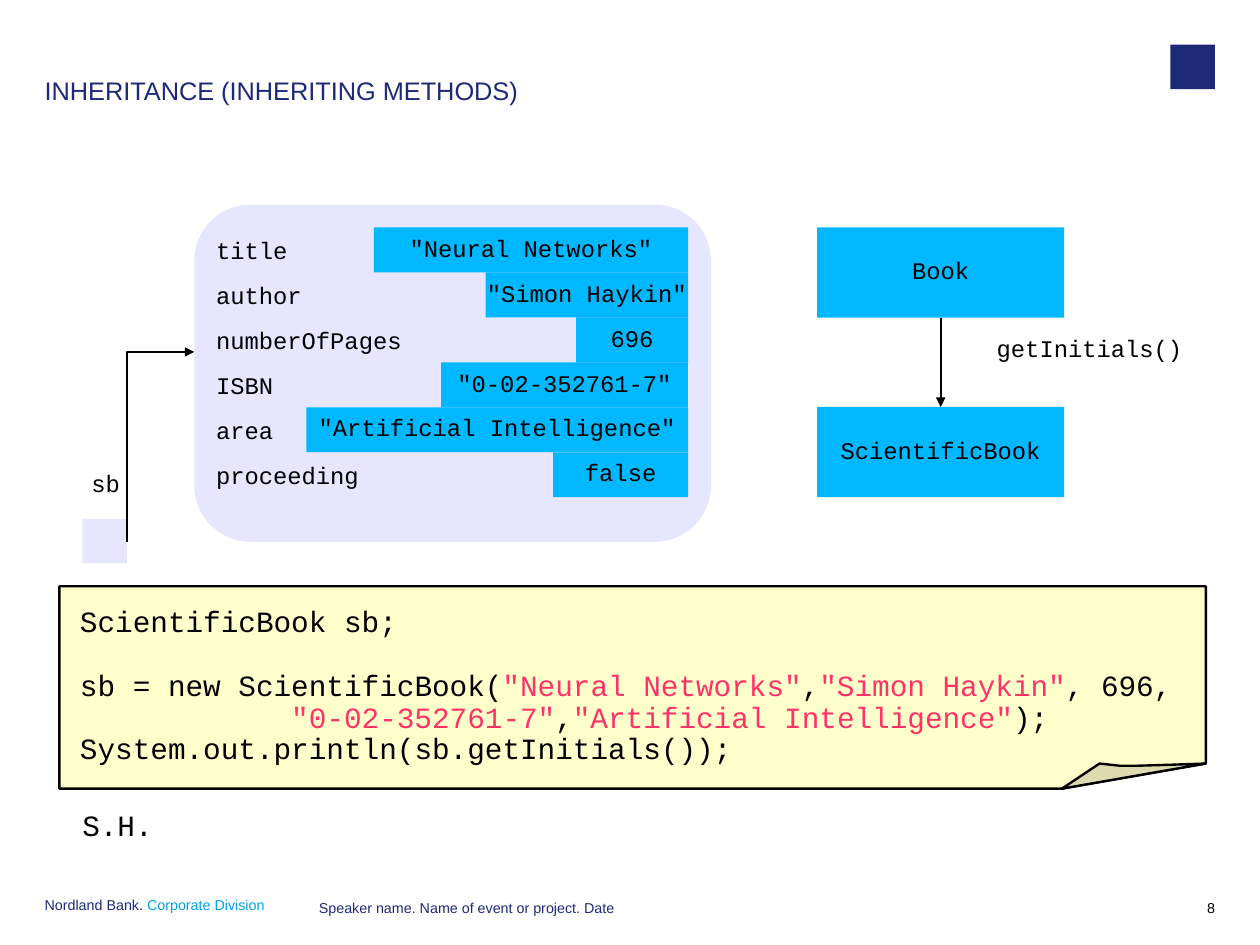
from dataclasses import dataclass

from lxml.etree import SubElement
from pptx import Presentation
from pptx.dml.color import RGBColor
from pptx.enum.shapes import MSO_CONNECTOR, MSO_SHAPE
from pptx.enum.text import MSO_ANCHOR, PP_ALIGN
from pptx.oxml.ns import qn
from pptx.util import Inches, Pt


@dataclass(frozen=True)
class Theme:
    navy: RGBColor = RGBColor.from_string("1E2A78")
    cyan: RGBColor = RGBColor.from_string("00A3E0")
    blue: RGBColor = RGBColor.from_string("00B8FF")
    lavender: RGBColor = RGBColor.from_string("E6E6FF")
    paper: RGBColor = RGBColor.from_string("FFFFCC")
    fold: RGBColor = RGBColor.from_string("DBDBAF")
    literal: RGBColor = RGBColor.from_string("FF3366")
    black: RGBColor = RGBColor.from_string("000000")
    sans: str = "Arial"
    mono: str = "Courier New"
    title: float = 16
    label: float = 15
    code: float = 18.5
    footer: float = 9


theme = Theme()
deck = Presentation()
deck.slide_width = Inches(280 / 25.4)
deck.slide_height = Inches(210 / 25.4)
page = deck.slides.add_slide(deck.slide_layouts[5])


def write(box, spans, size=theme.label, font=theme.mono, align=PP_ALIGN.LEFT, anchor=MSO_ANCHOR.MIDDLE):
    frame = box.text_frame
    frame.margin_left = frame.margin_right = frame.margin_top = 0
    frame.margin_bottom = Inches(0.04)
    frame.word_wrap = False
    frame.vertical_anchor = anchor
    para = frame.paragraphs[0]
    para.alignment = align
    for text, color in spans:
        span = para.add_run()
        span.text = text
        span.font.size, span.font.name = Pt(size), font
        span.font.color.rgb = color


def add_block(kind, left, top, width, height, fill):
    block = page.shapes.add_shape(kind, Inches(left), Inches(top), Inches(width), Inches(height))
    block.shadow.inherit = False
    block.fill.solid()
    block.fill.fore_color.rgb = fill
    block.line.fill.background()
    return block


title = page.shapes.title
title.left, title.top, title.width, title.height = Inches(0.39), Inches(0.69), Inches(9.47), Inches(0.61)
write(title, [("INHERITANCE (INHERITING METHODS)", theme.navy)], theme.title, theme.sans, anchor=MSO_ANCHOR.TOP)
title.text_frame.paragraphs[0].line_spacing = 0.9

add_block(MSO_SHAPE.RECTANGLE, 10.24, 0.39, 0.39, 0.39, theme.navy)

footers = [
    (0.39, 7.87, 2.19, PP_ALIGN.LEFT, [("Nordland Bank. ", theme.navy), ("Corporate Division", theme.cyan)]),
    (2.79, 7.89, 5.4, PP_ALIGN.LEFT, [("Speaker name. Name of event or project. Date", theme.navy)]),
    (10.24, 7.89, 0.39, PP_ALIGN.RIGHT, [("8", theme.black)]),
]
for left, top, width, align, spans in footers:
    footer = page.shapes.add_textbox(Inches(left), Inches(top), Inches(width), Inches(0.2))
    write(footer, spans, theme.footer, theme.sans, align, MSO_ANCHOR.TOP)
    footer.text_frame.paragraphs[0].line_spacing = Pt(9)

for name, top in [("Book", 1.99), ("ScientificBook", 3.56)]:
    class_box = add_block(MSO_SHAPE.RECTANGLE, 7.15, top, 2.16, 0.79, theme.blue)
    write(class_box, [(name, theme.black)], align=PP_ALIGN.CENTER)

add_block(MSO_SHAPE.ROUNDED_RECTANGLE, 1.7, 1.79, 4.52, 2.95, theme.lavender)
add_block(MSO_SHAPE.RECTANGLE, 0.72, 4.54, 0.39, 0.39, theme.lavender)

fields = [
    ("title", '"Neural Networks"', 2.75),
    ("author", '"Simon Haykin"', 1.77),
    ("numberOfPages", "696", 0.98),
    ("ISBN", '"0-02-352761-7"', 2.16),
    ("area", '"Artificial Intelligence"', 3.34),
    ("proceeding", "false", 1.18),
]
fields_top, fields_right = 1.99, 6.02
row_height = 2.36 / len(fields)
labels = [("sb", 0.8, 4.05, 0.28), ("getInitials()", 8.72, 2.87, 1.65)]
for row, (name, value, width) in enumerate(fields):
    top = fields_top + row * row_height
    value_box = add_block(MSO_SHAPE.RECTANGLE, fields_right - width, top, width, row_height, theme.blue)
    write(value_box, [(value, theme.black)], align=PP_ALIGN.CENTER)
    labels.append((name, 1.89, top + 0.02, 1.65))
for text, left, top, width in labels:
    label = page.shapes.add_textbox(Inches(left), Inches(top), Inches(width), Inches(row_height))
    write(label, [(text, theme.black)])

note_outline = [(10.55, 6.68), (10.55, 5.13), (0.52, 5.13), (0.52, 6.9), (9.29, 6.9)]
fold_outline = [(10.55, 6.68), (10.27, 6.69), (9.94, 6.7), (9.8, 6.7), (9.62, 6.68), (9.29, 6.9)]
for points, fill in [(note_outline, theme.paper), (fold_outline, theme.fold)]:
    corners = [(Inches(x), Inches(y)) for x, y in points]
    builder = page.shapes.build_freeform(*corners[0])
    builder.add_line_segments(corners[1:], close=True)
    sheet = builder.convert_to_shape()
    sheet.shadow.inherit = False
    sheet.fill.solid()
    sheet.fill.fore_color.rgb = fill
    sheet.line.color.rgb = theme.black
    sheet.line.width = Pt(1.5)

code_lines = [
    "ScientificBook sb;",
    'sb = new ScientificBook("Neural Networks","Simon Haykin", 696,',
    '            "0-02-352761-7","Artificial Intelligence");',
    "System.out.println(sb.getInitials());",
]
code = page.shapes.add_textbox(Inches(0.7), Inches(5.31), Inches(9.8), Inches(1.4))
write(code, [], anchor=MSO_ANCHOR.TOP)
code.text_frame.text = "\n".join(code_lines)
for number, para in enumerate(code.text_frame.paragraphs):
    pieces = para.text.split('"')
    para.text = ""
    para.line_spacing = Pt(20)
    para.space_before = Pt(20 if number == 1 else 0)
    for index, piece in enumerate(pieces):
        quoted = index % 2 == 1
        span = para.add_run()
        span.text = f'"{piece}"' if quoted else piece
        span.font.size, span.font.name = Pt(theme.code), theme.mono
        span.font.color.rgb = theme.literal if quoted else theme.black

output = page.shapes.add_textbox(Inches(0.72), Inches(7.09), Inches(1), Inches(0.3))
write(output, [("S.H.", theme.black)], theme.code)

arrows = [
    (MSO_CONNECTOR.STRAIGHT, 8.23, 2.78, 8.23, 3.56),
    (MSO_CONNECTOR.ELBOW, 1.11, 4.74, 1.7, 3.08),
]
for kind, *ends in arrows:
    arrow = page.shapes.add_connector(kind, *[Inches(end) for end in ends])
    arrow.line.color.rgb = theme.black
    arrow.line.width = Pt(1.25)
    properties = arrow.element.spPr
    SubElement(properties.find(qn("a:ln")), qn("a:tailEnd"), type="triangle")
    SubElement(properties, qn("a:effectLst"))
    if kind == MSO_CONNECTOR.ELBOW:
        guides = properties.find(qn("a:prstGeom")).find(qn("a:avLst"))
        SubElement(guides, qn("a:gd"), name="adj1", fmla="val 0")

deck.save("out.pptx")
